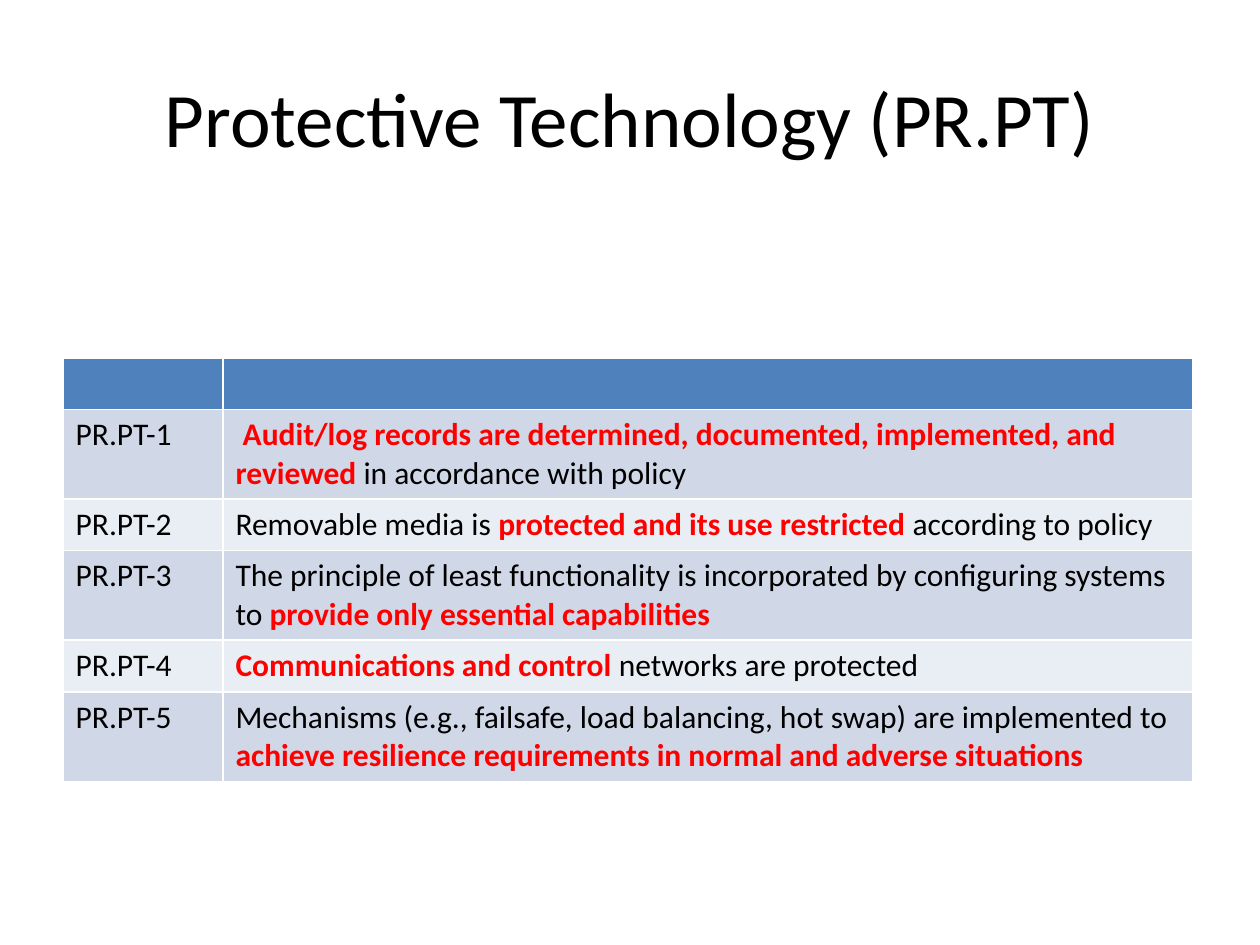
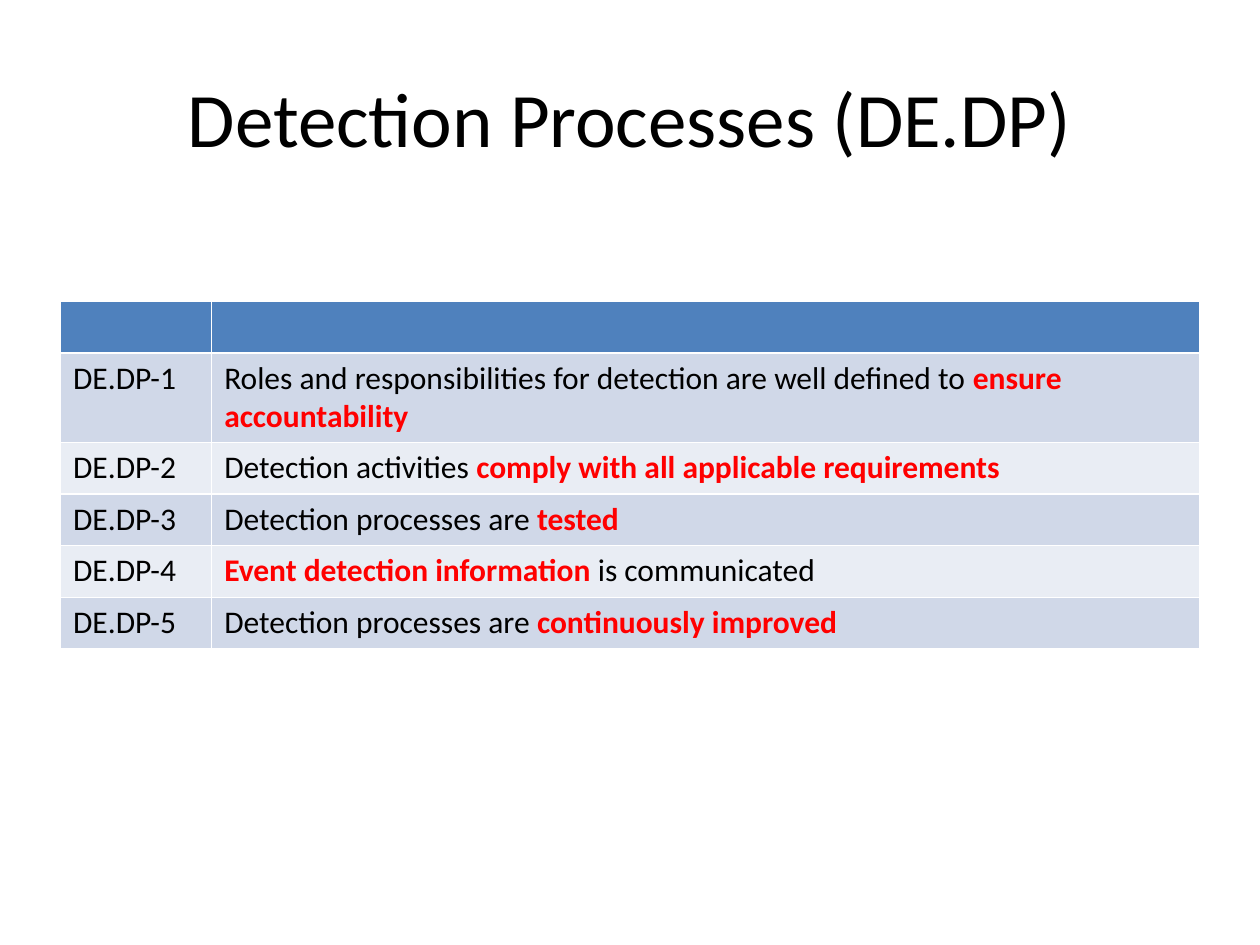
from pptx import Presentation
from pptx.dml.color import RGBColor
from pptx.enum.text import MSO_ANCHOR, PP_ALIGN
from pptx.util import Inches, Pt

# Shared look
FONT = "Calibri"
COLORS = {
    "text": "000000",
    "key": "FF0000",
    "header": "4F81BD",
    "odd": "D0D8E8",
    "even": "E9EDF4",
}
TITLE_BOX = (0.5, 0.3, 9, 1.25)
ROW_HEIGHTS = {1: 0.41, 2: 0.7}  # by number of text lines

# Content: each row is (lines of text, statement); key phrases stand between asterisks
SLIDES = [
    {
        "title": "Protective Technology (PR.PT)",
        "code": "PR.PT",
        "corner": (0.5, 2.84),
        "columns": (1.27, 7.7),
        "rows": [
            (2, " *Audit/log records are determined, documented, implemented, "
                "and reviewed *in accordance with policy"),
            (1, "Removable media is *protected and its use restricted *according to policy"),
            (2, "The principle of least functionality is incorporated by "
                "configuring systems to *provide only essential capabilities*"),
            (1, "*Communications and control *networks are protected"),
            (2, "Mechanisms (e.g., failsafe, load balancing, hot swap) are implemented to "
                "*achieve resilience requirements in normal and adverse situations*"),
        ],
    },
    {
        "title": "Detection Processes (DE.DP)",
        "code": "DE.DP",
        "corner": (0.48, 2.39),
        "columns": (1.2, 7.84),
        "rows": [
            (2, "Roles and responsibilities for detection are well defined to "
                "*ensure accountability*"),
            (1, "Detection activities *comply with all applicable requirements*"),
            (1, "Detection processes are *tested*"),
            (1, "*Event detection information *is communicated"),
            (1, "Detection processes are *continuously improved*"),
        ],
    },
]


def add_span(para, text, size, color="text", bold=False):
    span = para.add_run()
    span.text = text
    span.font.name = FONT
    span.font.size = Pt(size)
    span.font.bold = bold
    span.font.color.rgb = RGBColor.from_string(COLORS[color])


def add_statement(para, statement):
    """Every second piece between asterisks is a key phrase."""
    for index, piece in enumerate(statement.split("*")):
        if piece:
            is_key = index % 2 == 1
            add_span(para, piece, 18, "key" if is_key else "text", is_key)


def add_title(page, title):
    box = page.shapes.title
    box.left, box.top, box.width, box.height = map(Inches, TITLE_BOX)
    box.text_frame.vertical_anchor = MSO_ANCHOR.MIDDLE
    para = box.text_frame.paragraphs[0]
    para.alignment = PP_ALIGN.CENTER
    add_span(para, title, 44)


def add_control_table(page, content):
    heights = [ROW_HEIGHTS[1]] + [ROW_HEIGHTS[lines] for lines, _ in content["rows"]]
    widths = content["columns"]
    left, top = content["corner"]
    table = page.shapes.add_table(
        len(heights), len(widths), Inches(left), Inches(top),
        Inches(sum(widths)), Inches(sum(heights))).table
    for column, width in zip(table.columns, widths):
        column.width = Inches(width)

    # Row heights and banded fills
    for index, (row, height) in enumerate(zip(table.rows, heights)):
        row.height = Inches(height)
        band = "header" if index == 0 else "odd" if index % 2 else "even"
        for cell in row.cells:
            cell.fill.solid()
            cell.fill.fore_color.rgb = RGBColor.from_string(COLORS[band])

    # Numbered codes and their statements
    for number, (_, statement) in enumerate(content["rows"], start=1):
        code_cell, statement_cell = table.rows[number].cells
        add_span(code_cell.text_frame.paragraphs[0], f"{content['code']}-{number}", 18)
        add_statement(statement_cell.text_frame.paragraphs[0], statement)


deck = Presentation()
deck.slide_width, deck.slide_height = Inches(10), Inches(7.5)
title_only = deck.slide_layouts.get_by_name("Title Only")
for content in SLIDES:
    page = deck.slides.add_slide(title_only)
    add_title(page, content["title"])
    add_control_table(page, content)
deck.save("out.pptx")
